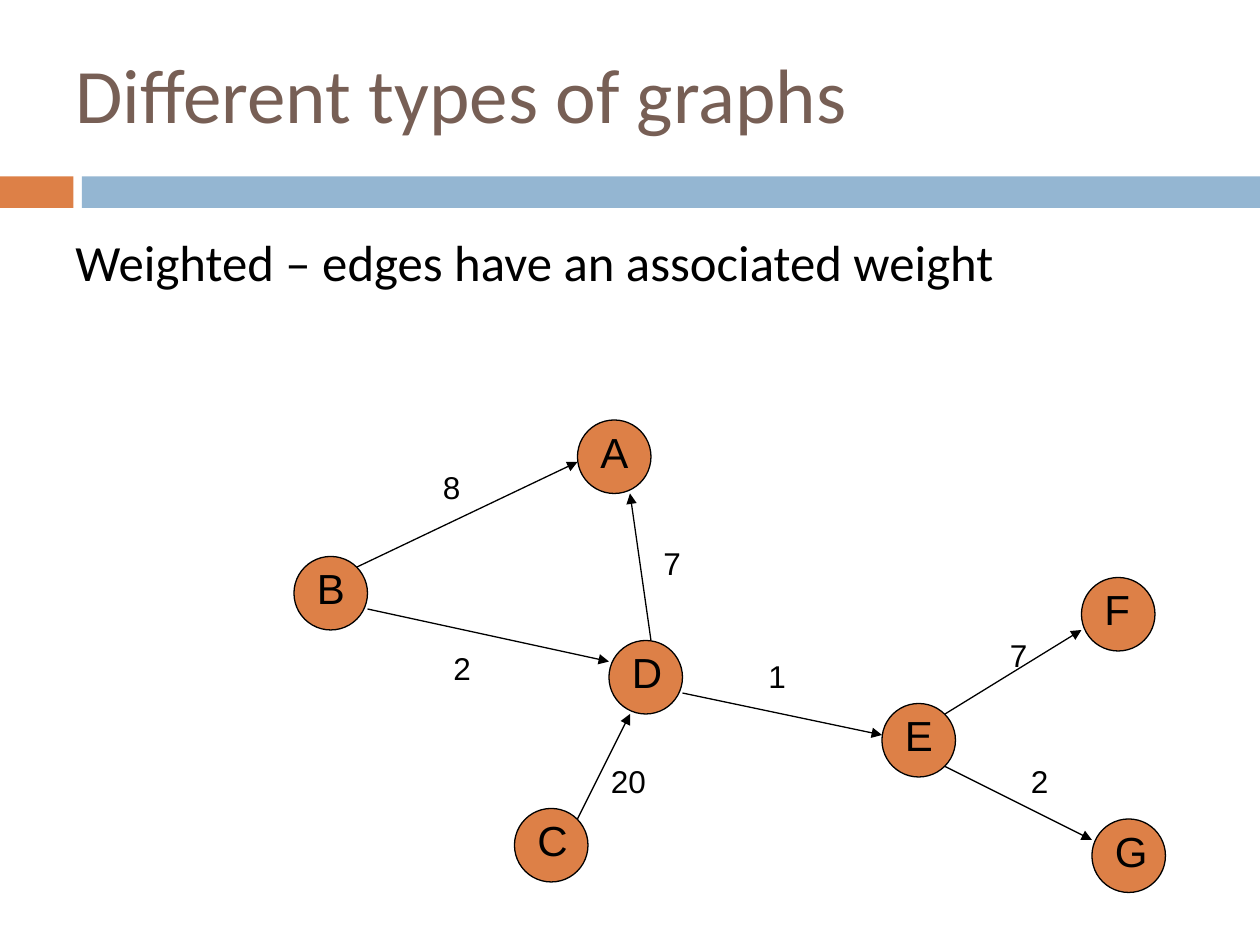
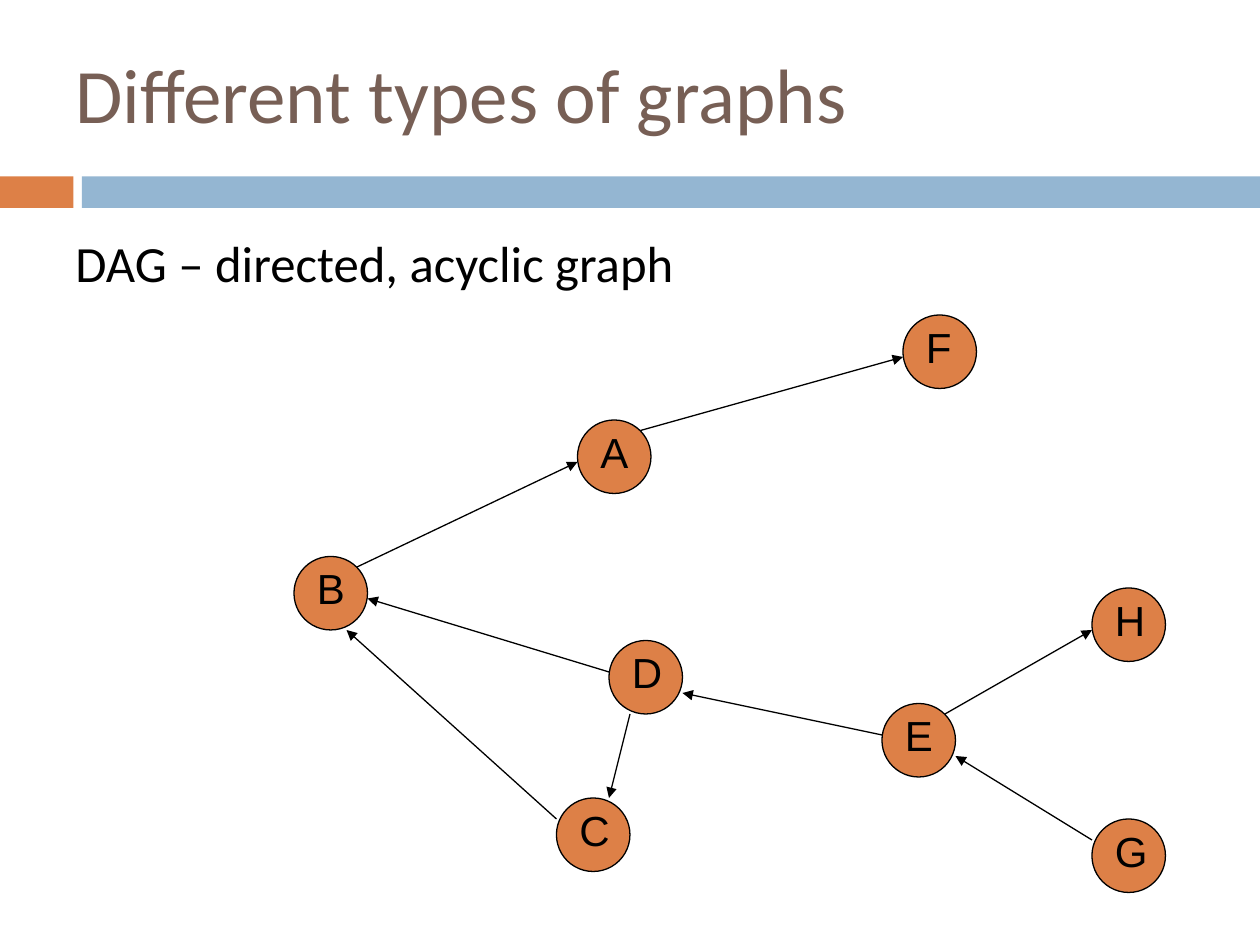
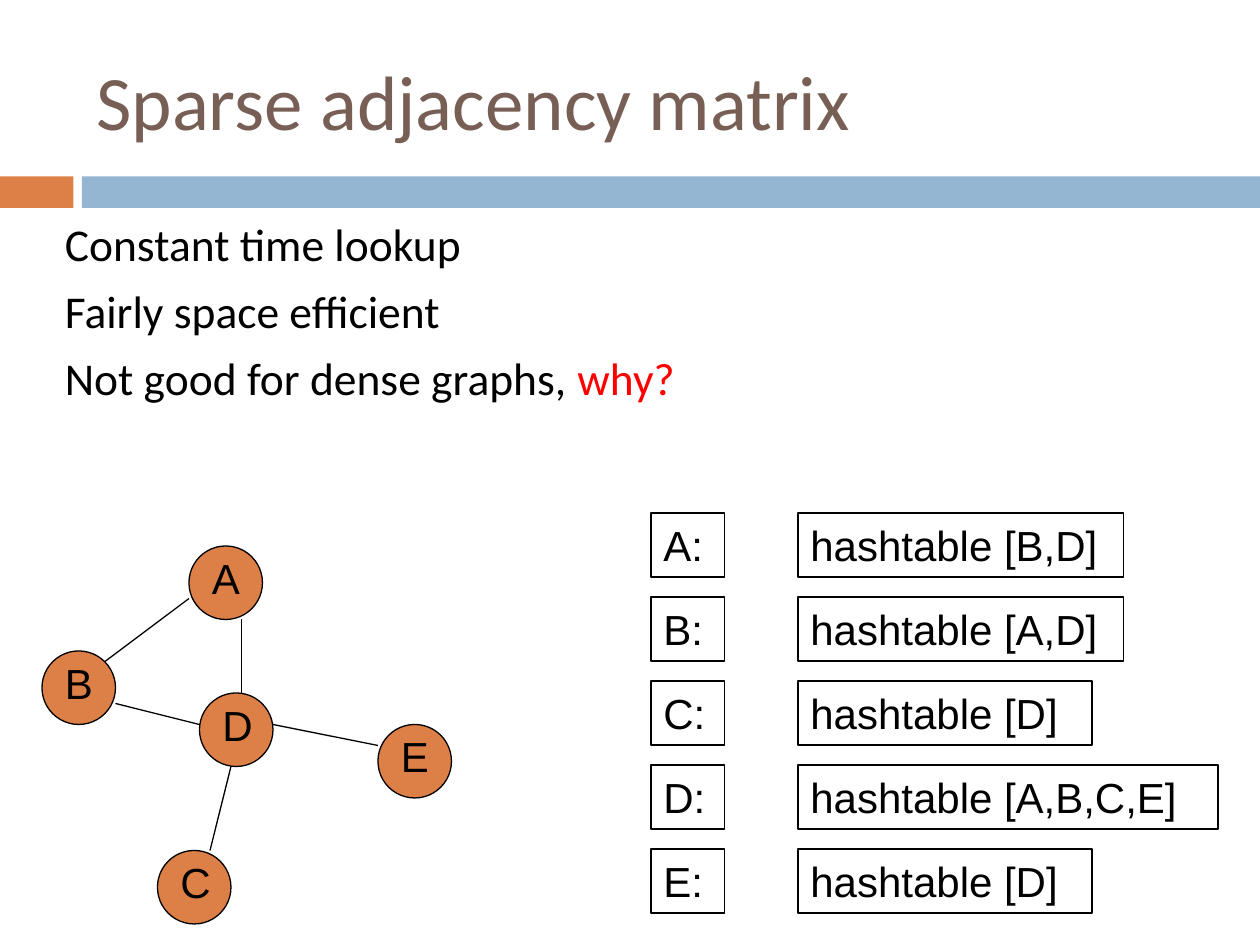
import dataclasses

import pptx
import pptx.dml.color
import pptx.enum.shapes
import pptx.enum.text
import pptx.oxml.ns
import pptx.util
from lxml import etree

SHAPE = pptx.enum.shapes.MSO_SHAPE
ANCHOR = pptx.enum.text.MSO_ANCHOR


@dataclasses.dataclass(frozen=True)
class Theme:
    orange: str = "DD8047"
    blue: str = "94B6D2"
    brown: str = "775F55"
    black: str = "000000"
    red: str = "FF0000"
    heading: str = "Calibri"
    diagram: str = "Arial"
    title: int = 44
    body: int = 29
    list_body: int = 26
    node: int = 24
    weight: int = 18
    line: float = 0.75
    space_before: int = 7


T = Theme()
NODE = 7  # node diameter in grid units


# Grid: 120 columns by 90 rows, twelve units to the inch
def unit(n):
    return pptx.util.Inches(n / 12)


def box(*lengths):
    return [unit(n) for n in lengths]


def rgb(value):
    return pptx.dml.color.RGBColor.from_string(value)


# Text
def write(shape, paragraphs, size, font, color=T.black, anchor=ANCHOR.TOP):
    """Each paragraph is a list of (text, color) runs; None keeps the main color."""
    tf = shape.text_frame
    tf.word_wrap = True
    tf.vertical_anchor = anchor
    for i, runs in enumerate(paragraphs):
        p = tf.add_paragraph() if i else tf.paragraphs[0]
        p.alignment = pptx.enum.text.PP_ALIGN.LEFT
        if i:
            p.space_before = pptx.util.Pt(T.space_before)
        for text, run_color in runs:
            r = p.add_run()
            r.text = text
            for key, value in {"name": font, "size": pptx.util.Pt(size)}.items():
                setattr(r.font, key, value)
            r.font.color.rgb = rgb(run_color or color)


def add_text(shapes, place, text, size, font, **style):
    paragraphs = [[(text, None)]] if isinstance(text, str) else text
    write(shapes.add_textbox(*box(*place)), paragraphs, size, font, **style)


# Shapes
def add_block(shapes, kind, place, fill=None, outlined=True):
    sp = shapes.add_shape(kind, *box(*place))
    sp.shadow.inherit = False
    if fill:
        sp.fill.solid()
        sp.fill.fore_color.rgb = rgb(fill)
    else:
        sp.fill.background()
    if outlined:
        sp.line.color.rgb = rgb(T.black)
        sp.line.width = pptx.util.Pt(T.line)
    else:
        sp.line.fill.background()
    return sp


def add_node(s, name, x, y):
    group = s.shapes.add_group_shape()
    add_block(group.shapes, SHAPE.OVAL, (x, y, NODE, NODE), T.orange)
    add_text(group.shapes, (x + 1, y, 6, 6), name, T.node, T.diagram)


def add_edge(s, start, end, arrow):
    line = s.shapes.add_connector(
        pptx.enum.shapes.MSO_CONNECTOR.STRAIGHT, *box(*start, *end))
    line.line.color.rgb = rgb(T.black)
    line.line.width = pptx.util.Pt(T.line)
    if arrow:
        etree.SubElement(line.line._get_or_add_ln(),
                         pptx.oxml.ns.qn("a:tailEnd"), type="triangle")
    etree.SubElement(line._element.spPr, pptx.oxml.ns.qn("a:effectLst"))


def add_graph(s, nodes, edges, arrows=True):
    """An edge is (node, offset in node, node, offset in node)."""
    for name, (x, y) in nodes.items():
        add_node(s, name, x, y)
    for tail, (dx1, dy1), head, (dx2, dy2) in edges:
        (x1, y1), (x2, y2) = nodes[tail], nodes[head]
        add_edge(s, (x1 + dx1, y1 + dy1), (x2 + dx2, y2 + dy2), arrows)


def add_cell(s, x, y, width, text):
    sp = add_block(s.shapes, SHAPE.RECTANGLE, (x, y, width, 6.1))
    write(sp, [[(text, None)]], T.node, T.diagram)


# Frame shared by all slides: two bands, title and body text
def add_slide(prs, title, body, body_place, body_size=T.body,
              title_place=(6, 1.6, 99, 14.4)):
    s = prs.slides.add_slide(prs.slide_layouts[6])
    for x, width, color in ((0, 7, T.orange), (7.8, 112.2, T.blue)):
        add_block(s.shapes, SHAPE.RECTANGLE, (x, 16.8, width, 3), color, outlined=False)
    add_text(s.shapes, title_place, title, T.title, T.heading,
             color=T.brown, anchor=ANCHOR.MIDDLE)
    add_text(s.shapes, body_place, body, body_size, T.heading)
    return s


# Nodes and edges that both directed graphs have
COMMON_NODES = {"A": (55, 40), "B": (28, 53), "D": (58, 61), "E": (84, 67), "G": (104, 78)}
B_TO_A = ("B", (6, 1), "A", (0, 4))


def weighted_slide(prs):
    s = add_slide(prs, "Different types of graphs",
                  "Weighted – edges have an associated weight", (6, 21.4, 108, 10))
    add_graph(s, {**COMMON_NODES, "C": (49, 77), "F": (103, 55)}, [
        B_TO_A,
        ("B", (7, 5), "D", (0, 2)),
        ("D", (4, 0), "A", (5, 7)),
        ("C", (6, 1), "D", (2, 7)),
        ("D", (7, 5), "E", (0, 3)),
        ("E", (6, 1), "F", (0, 5)),
        ("E", (6, 6), "G", (0, 2)),
    ])
    weights = [("8", 41, 44), ("2", 42, 61.2), ("7", 62, 51.2), ("20", 57, 72),
               ("1", 72, 62), ("7", 95, 60), ("2", 97, 72)]
    for weight, x, y in weights:
        add_text(s.shapes, (x, y, 7, 4.8), weight, T.weight, T.diagram)


def dag_slide(prs):
    s = add_slide(prs, "Different types of graphs",
                  "DAG – directed, acyclic graph", (6, 21.5, 108, 13))
    add_graph(s, {**COMMON_NODES, "C": (53, 76), "F": (86, 30), "H": (104, 56)}, [
        B_TO_A,
        ("A", (6, 1), "F", (0, 4)),
        ("D", (0, 3), "B", (7, 4)),
        ("C", (0, 2), "B", (5, 7)),
        ("D", (2, 7), "C", (5, 0)),
        ("E", (0, 3), "D", (7, 5)),
        ("E", (6, 1), "H", (0, 4)),
        ("G", (0, 2), "E", (7, 5)),
    ])


def sparse_matrix_slide(prs):
    body = [
        [("Constant time lookup", None)],
        [("Fairly space efficient", None)],
        [("Not good for dense graphs, ", None), ("why?", T.red)],
    ]
    s = add_slide(prs, "Sparse adjacency matrix", body, (5, 20, 109, 21),
                  T.list_body, title_place=(8, 3, 107, 13))
    nodes = {"A": (18, 52), "B": (4, 62), "C": (15, 81), "D": (19, 66), "E": (36, 69)}
    add_graph(s, nodes, [
        ("B", (6, 1), "A", (0, 5)),
        ("B", (7, 5), "D", (0, 3)),
        ("D", (4, 0), "A", (5, 7)),
        ("D", (3, 7), "C", (5, 0)),
        ("D", (7, 3), "E", (0, 2)),
    ], arrows=False)
    neighbours = {"A": ("B,D", 31), "B": ("A,D", 31), "C": ("D", 28),
                  "D": ("A,B,C,E", 40), "E": ("D", 28)}
    for row, (name, (linked, width)) in enumerate(neighbours.items()):
        y = 48.85 + 8 * row
        add_cell(s, 62, y, 7, f"{name}:")
        add_cell(s, 76, y, width, f"hashtable [{linked}]")


def main():
    prs = pptx.Presentation()
    prs.slide_width, prs.slide_height = box(120, 90)
    weighted_slide(prs)
    dag_slide(prs)
    sparse_matrix_slide(prs)
    prs.save("out.pptx")


if __name__ == "__main__":
    main()
